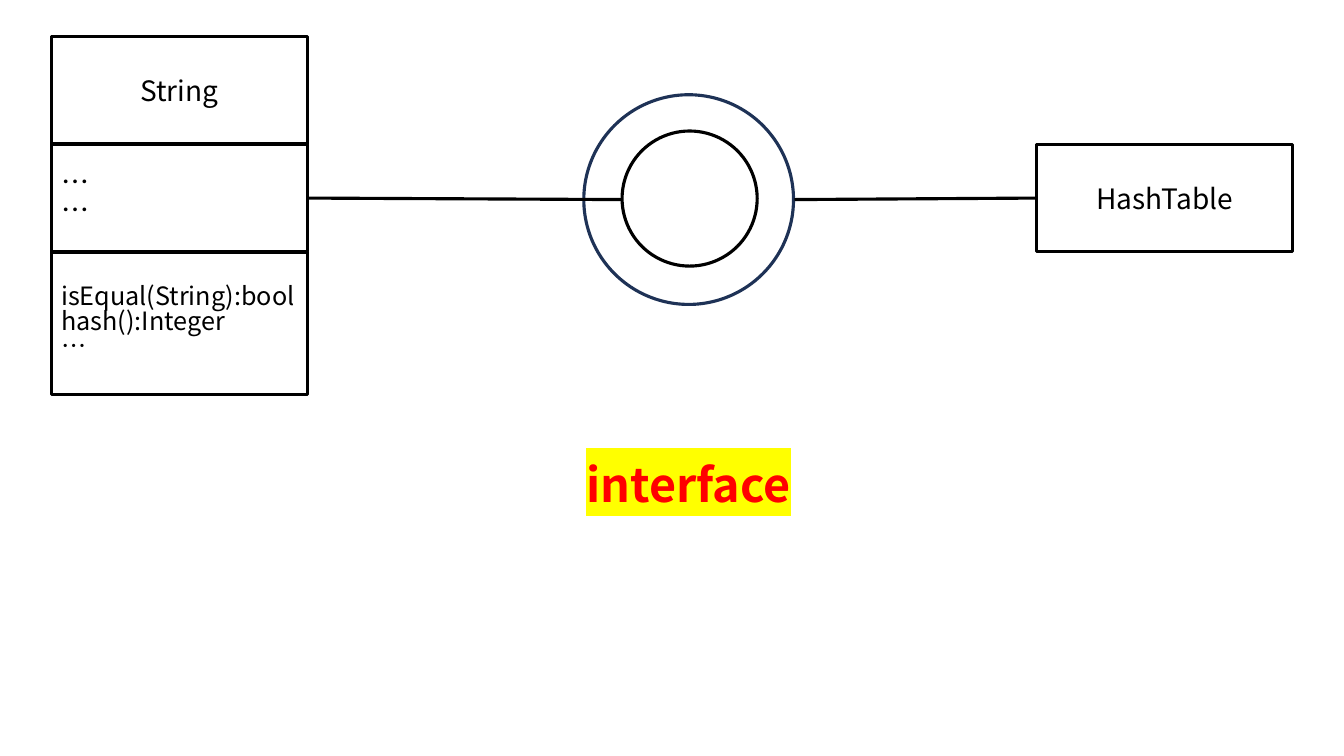
from lxml import etree
from pptx import Presentation
from pptx.dml.color import RGBColor
from pptx.enum.shapes import MSO_CONNECTOR, MSO_SHAPE
from pptx.enum.text import MSO_ANCHOR, PP_ALIGN
from pptx.oxml.ns import qn
from pptx.util import Inches, Pt


def rgb(value):
    return RGBColor.from_string(value)


class Diagram:
    font = "Noto Sans CJK SC"
    ink = "000000"
    line_width = Pt(2.25)

    def __init__(self, slide):
        self.s = slide

    def set_text(self, tf, text, size, color, align, spacing=None, bold=False):
        tf.word_wrap = True
        tf.text = text
        for p in tf.paragraphs:
            p.alignment = align
            if spacing:
                p.line_spacing = spacing
            for r in p.runs:
                r.font.size = Pt(size)
                r.font.bold = bold
                r.font.color.rgb = rgb(color)
                r.font.name = self.font
                ea = etree.SubElement(r.font._element, qn("a:ea"))
                ea.set("typeface", self.font)

    def shape(self, kind, x, y, w, h, color=ink):
        sp = self.s.shapes.add_shape(kind, Inches(x), Inches(y), Inches(w), Inches(h))
        sp.shadow.inherit = False
        sp.fill.background()
        sp.line.color.rgb = rgb(color)
        sp.line.width = self.line_width
        return sp

    def circle(self, x, y, d, color=ink):
        return self.shape(MSO_SHAPE.OVAL, x, y, d, d, color)

    def box(self, x, y, w, h, text, size=20, align=PP_ALIGN.CENTER, spacing=None):
        sp = self.shape(MSO_SHAPE.RECTANGLE, x, y, w, h)
        sp.text_frame.vertical_anchor = MSO_ANCHOR.MIDDLE
        self.set_text(sp.text_frame, text, size, self.ink, align, spacing)
        return sp

    def link(self, box, side, x, y):
        """Line from the middle of a box side to a point."""
        c = self.s.shapes.add_connector(
            MSO_CONNECTOR.STRAIGHT, 0, 0, Inches(x), Inches(y))
        c.begin_connect(box, side)
        c.line.color.rgb = rgb(self.ink)
        c.line.width = self.line_width
        etree.SubElement(c._element.spPr, qn("a:effectLst"))

    def label(self, x, y, w, h, text, size, color, highlight):
        tf = self.s.shapes.add_textbox(
            Inches(x), Inches(y), Inches(w), Inches(h)).text_frame
        tf.vertical_anchor = MSO_ANCHOR.BOTTOM
        self.set_text(tf, text, size, color, PP_ALIGN.CENTER, 0.8, True)
        # The highlight must follow the text fill
        mark = etree.Element(qn("a:highlight"))
        etree.SubElement(mark, qn("a:srgbClr")).set("val", highlight)
        rPr = tf.paragraphs[0].runs[0].font._element
        rPr.find(qn("a:solidFill")).addnext(mark)


def main():
    prs = Presentation()
    prs.slide_width, prs.slide_height = Inches(13.33), Inches(7.5)
    d = Diagram(prs.slides.add_slide(prs.slide_layouts[6]))

    # Socket and ball of the interface
    d.circle(5.79, 0.94, 2.08, "1E3256")
    d.circle(6.17, 1.3, 1.34)

    # String class with its attributes and methods
    left, top, w, h = 0.51, 0.36, 2.54, 1.07
    d.box(left, top, w, h, "String")
    attributes = d.box(left, top + h, w, h, "…\n…",
                       align=PP_ALIGN.LEFT, spacing=0.82)
    d.box(left, top + 2 * h, w, 1.41, "isEqual(String):bool\nhash():Integer\n…",
          18, PP_ALIGN.LEFT, 0.82)

    # HashTable class
    hash_table = d.box(10.28, top + h, w, h, "HashTable")

    # Links to the interface
    d.link(attributes, 3, 6.17, 1.98)
    d.link(hash_table, 1, 7.88, 1.98)

    # Interface label
    d.label(5.3, 4.58, 3.06, 0.54, "interface", 33.3, "FF0000", "FFFF00")

    prs.save("out.pptx")


if __name__ == "__main__":
    main()
